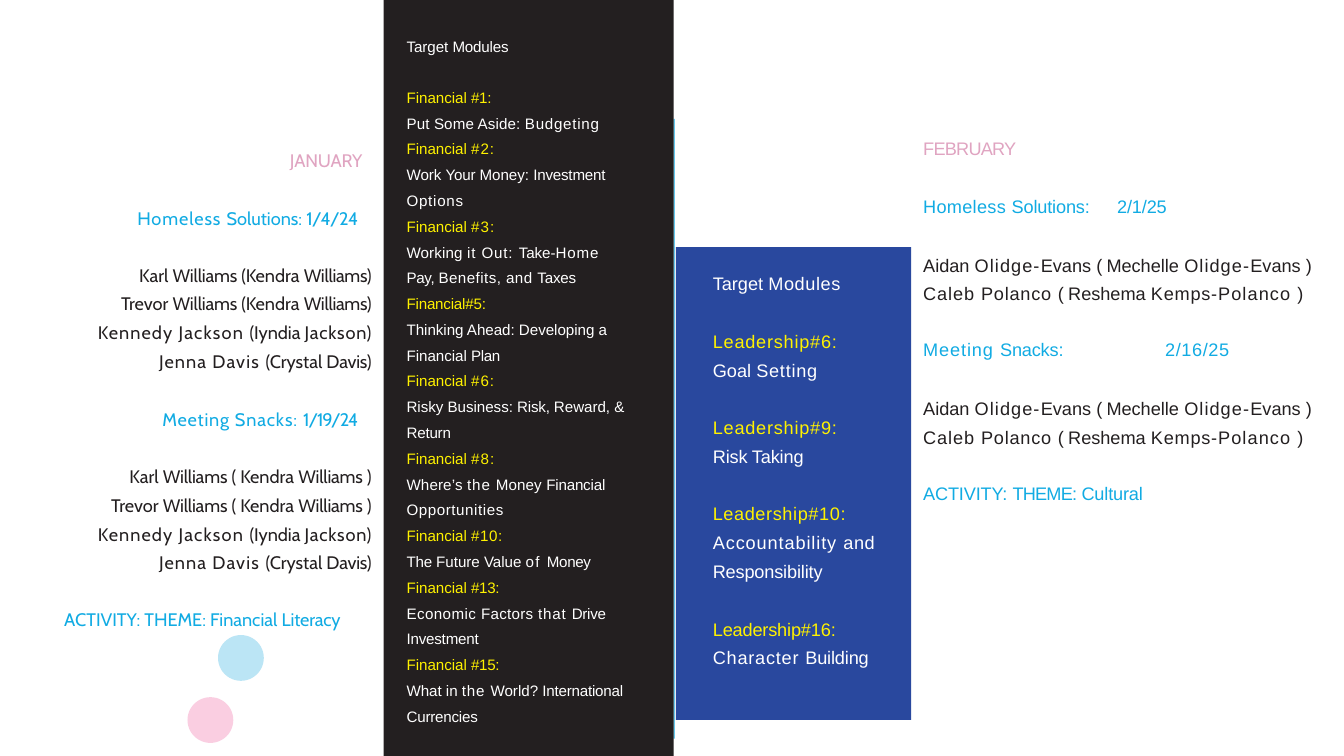
"""Build the January and February meeting schedule slide."""
from lxml.etree import SubElement
from pptx import Presentation
from pptx.dml.color import RGBColor
from pptx.enum.shapes import MSO_SHAPE as Shape
from pptx.enum.text import MSO_AUTO_SIZE as AutoSize, PP_ALIGN as Align
from pptx.oxml.ns import qn
from pptx.util import Pt

WHITE, BLACK, YELLOW = "FFFFFF", "231F20", "FFF200"
CYAN, PINK, BLUE = "11ABE3", "E0A4C1", "29489E"
JANUARY_RIGHT, FEBRUARY_LEFT = 245.52, 609.12
MODULES_LEFT, LEADERSHIP_LEFT = 267.84, 470.16
LINE_HEIGHT, LINE_SPACING, MODULE_SPACING = 16.56, 1.32, 1.42

FEBRUARY_FAMILIES = [
    ("Aidan ", 0), ("Olidge-", 0.7), ("Evans ", 0), ("( ", -0.6),
    ("Mechelle ", 0), ("Olidge-", 0.7), ("Evans ", 0), (") ", -0.5),
    ("Caleb ", 0.6), ("Polanco ", 0.5), ("( ", -0.6), ("Reshema ", 0),
    ("Kemps-", 0.5), ("Polanco ", 0.7), (")", -0.5)]

JANUARY_TASKS = [
    (136.08, 155.52, [("Homeless ", 0.6), ("Solutions: ", 0), ("1/4/24", -0.4)]),
    (269.28, 138.96, [("Meeting ", 0.5), ("Snacks: ", 0.6), ("1/19/24", -0.7)]),
    (401.76, 203.76, [("ACTIVITY: THEME: Financial ", 0), ("Literacy", -0.1)])]

JANUARY_FAMILIES = [
    (169.2, [("(Kendra ", 0), ("Williams)", -0.2)]),
    (302.4, [("( Kendra ", 0), ("Williams ", -0.1), (")", -0.5)])]

FEBRUARY_TASKS = [
    (128.16, 128.16, [("Homeless ", 0.2), ("Solutions:\t2/1/25", -0.1)]),
    (223.2, 159.84, [("Meeting ", 0.6), ("Snacks:\t", -0.1), ("2/16/25", 0.4)])]

LEADERSHIP = [
    (213.12, 85.68, 40.32, [("Leadership#6:", 0.5)],
     [("Goal ", 0), ("Setting", 0.5)]),
    (270, 85.68, 40.32, [("Leadership#9:", 0.5)], [("Risk Taking", -0.1)]),
    (326.88, 108, 59.04, [("Leadership#10:", 0.4)],
     [("Accountability ", 0.6), ("and ", 0.3), ("Responsibility", -0.1)]),
    (403.2, 107.28, 40.32, [("Leadership#16:", -0.1)],
     [("Character ", 0.5), ("Building", -0.1)])]

FINANCIAL = [
    ([("Financial ", 0), ("#1:", -0.2)],
     [("Put Some Aside: ", 0.1), ("Budgeting", 0.5)]),
    ([("Financial ", 0), ("#2:", 0.7)],
     [("Work ", 0), ("Your ", -0.1), ("Money: ", 0), ("Investment ", -0.1),
      ("Options", 0.5)]),
    ([("Financial ", 0), ("#3:", 0.8)],
     [("Working ", 0.1), ("it Out: ", 0.6), ("Take-", 0), ("Home ", 0.6),
      ("Pay, ", -0.2), ("Benefits, and ", 0.3), ("Taxes", -0.1)]),
    ([("Financial#5:", -0.1)],
     [("Thinking Ahead: Developing ", 0), ("a ", -0.5), ("Financial ", 0),
      ("Plan", -0.2)]),
    ([("Financial ", 0), ("#6:", 0.7)],
     [("Risky Business: ", 0), ("Risk, ", -0.1), ("Reward, ", 0), ("& ", 0.1),
      ("Return", -0.1)]),
    ([("Financial ", 0), ("#8:", 0.8)],
     [("Where’s ", 0.1), ("the ", 0.6), ("Money ", 0.1), ("Financial ", -0.1),
      ("Opportunities", 0.4)]),
    ([("Financial ", 0), ("#10:", 0.4)],
     [("The ", -0.1), ("Future Value ", 0), ("of ", 1), ("Money", -0.2)]),
    ([("Financial ", 0), ("#13:", -0.2)],
     [("Economic ", 0.3), ("Factors ", 0.2), ("that ", 0.6), ("Drive ", -0.2),
      ("Investment", -0.1)]),
    ([("Financial ", 0), ("#15:", -0.2)],
     [("What in ", 0), ("the ", 0.6), ("World? ", 0),
      ("International Currencies", -0.1)])]


def color(value):
    return RGBColor.from_string(value)


def add_block(slide, kind, left, top, width, height, fill):
    block = slide.shapes.add_shape(kind, Pt(left), Pt(top), Pt(width), Pt(height))
    block.shadow.inherit = False
    block.fill.solid()
    block.fill.fore_color.rgb = color(fill)
    block.line.fill.background()


def add_box(slide, left, top, width, height=LINE_HEIGHT, inset=0.72):
    box = slide.shapes.add_textbox(Pt(left), Pt(top), Pt(width), Pt(height))
    frame = box.text_frame
    frame.word_wrap = True
    frame.auto_size = AutoSize.SHAPE_TO_FIT_TEXT
    frame.margin_left = frame.margin_right = frame.margin_bottom = 0
    frame.margin_top = Pt(inset)
    return frame


def add_para(frame, spans, fill, size=12, font="Arial", before=1, spacing=None,
             align=Align.LEFT, tab=None):
    para = frame.paragraphs[0]
    if para.runs:
        para = frame.add_paragraph()
    para.alignment = align
    para.space_before = Pt(before)
    if spacing:
        para.line_spacing = spacing
    properties = para._p.get_or_add_pPr()
    properties.set("marL", str(Pt(0.72)))
    if tab:
        stops = SubElement(properties, qn("a:tabLst"))
        SubElement(stops, qn("a:tab"), pos=str(Pt(tab)), algn="l")
    para.font.size = Pt(size)
    para.font.name = font
    para.font.color.rgb = color(fill)
    for text, tracking in spans:
        span = para.add_run()
        span.text = text
        if tracking:
            span._r.get_or_add_rPr().set("spc", str(round(tracking * 100)))


def add_january(slide):
    frame = add_box(slide, JANUARY_RIGHT - 54.72, 97.92, 54.72)
    add_para(frame, [("JANUARY", -0.1)], PINK, font="Cabin")
    for top, width, task in JANUARY_TASKS:
        frame = add_box(slide, JANUARY_RIGHT - width, top, width)
        add_para(frame, task, CYAN, font="Cabin")
    for top, guardian in JANUARY_FAMILIES:
        families = [
            [("Karl ", 0), ("Williams ", -0.1), *guardian],
            [("Trevor ", 0), ("Williams ", -0.1), *guardian],
            [("Kennedy", 0.7), (" Jackson ", 0.8), ("(Iyndia ", 0), ("Jackson)", 0.5)],
            [("Jenna ", 0.7), ("Davis ", 0.8), ("(Crystal ", 0), ("Davis)", -0.1)]]
        frame = add_box(slide, JANUARY_RIGHT - 201.6, top, 201.6, 77.76)
        for index, family in enumerate(families):
            add_para(frame, family, BLACK, font="Cabin", before=0 if index else 1,
                     spacing=LINE_SPACING, align=Align.RIGHT)


def add_february(slide):
    add_para(add_box(slide, FEBRUARY_LEFT, 90, 68), [("FEBRUARY", -0.5)], PINK)
    for top, tab, task in FEBRUARY_TASKS:
        frame = add_box(slide, FEBRUARY_LEFT, top, 262.08, 73.44)
        add_para(frame, task, CYAN, tab=tab)
        add_para(frame, FEBRUARY_FAMILIES, BLACK, before=20, spacing=LINE_SPACING)
    add_para(add_box(slide, FEBRUARY_LEFT, 318.24, 154.8),
             [("ACTIVITY: ", -0.1), ("THEME: ", -0.5), ("Cultural", -0.1)], CYAN)


def add_financial(slide):
    add_para(add_box(slide, MODULES_LEFT, 23.76, 74.88, 13.68),
             [("Target ", 0), ("Modules", -0.1)], WHITE, size=10)
    frame = add_box(slide, MODULES_LEFT, 52.56, 149.76, 426.96, inset=5.76)
    for index, (heading, module) in enumerate(FINANCIAL):
        add_para(frame, heading, YELLOW, size=10, before=5 if index else 6)
        add_para(frame, module, WHITE, size=10, before=0, spacing=MODULE_SPACING)


def add_leadership(slide):
    add_para(add_box(slide, LEADERSHIP_LEFT, 179.28, 89.28),
             [("Target ", 0), ("Modules", 0.4)], WHITE)
    for top, width, height, heading, module in LEADERSHIP:
        frame = add_box(slide, LEADERSHIP_LEFT, top, width, height)
        add_para(frame, heading, YELLOW, spacing=LINE_SPACING)
        add_para(frame, module, WHITE, before=0, spacing=LINE_SPACING)


def main():
    deck = Presentation()
    deck.slide_width, deck.slide_height = Pt(887.76), Pt(499.68)
    slide = deck.slides.add_slide(deck.slide_layouts[6])
    add_block(slide, Shape.OVAL, 144, 419.76, 30.24, 30.24, "BBE5F5")
    add_block(slide, Shape.OVAL, 123.84, 460.8, 30.24, 30.24, "FACEE1")
    add_february(slide)
    add_january(slide)
    add_block(slide, Shape.RECTANGLE, 444.96, 78.48, 0.72, 409.68, CYAN)
    add_block(slide, Shape.RECTANGLE, 253.44, 0, 191.52, 499.68, BLACK)
    add_block(slide, Shape.RECTANGLE, 446.4, 163.44, 155.52, 312.48, BLUE)
    add_leadership(slide)
    add_financial(slide)
    deck.save("out.pptx")


if __name__ == "__main__":
    main()
